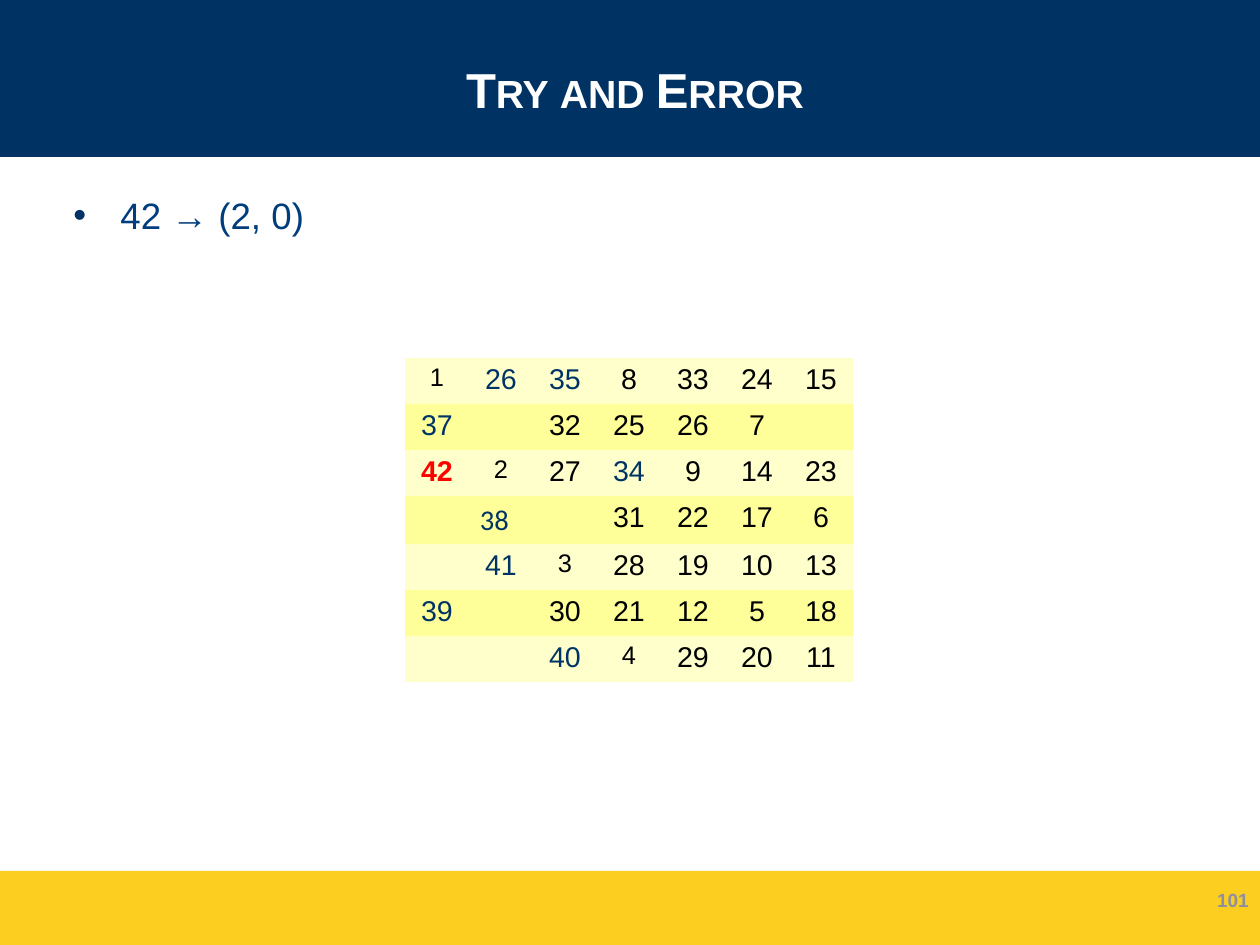
from lxml.etree import SubElement
from pptx import Presentation
from pptx.dml.color import RGBColor
from pptx.enum.shapes import MSO_SHAPE as Shape
from pptx.enum.text import MSO_ANCHOR as Anchor, MSO_AUTO_SIZE as AutoSize, PP_ALIGN as Align
from pptx.oxml import parse_xml
from pptx.oxml.ns import nsdecls, qn
from pptx.util import Emu, Pt

PX = 8000
WIDTH, HEIGHT = 1260, 945

NAVY = RGBColor(0x00, 0x32, 0x64)
GOLD = RGBColor(0xFB, 0xCE, 0x20)
WHITE = RGBColor(0xFF, 0xFF, 0xFF)
BLUE = RGBColor(0x00, 0x3D, 0x7C)
GREY = RGBColor(0x8C, 0x90, 0xA0)
BLACK = RGBColor(0x00, 0x00, 0x00)
RED = RGBColor(0xFF, 0x00, 0x00)
STEP_BLUE = RGBColor(0x00, 0x33, 0x66)
LIGHT_YELLOW = RGBColor(0xFF, 0xFF, 0xCC)
YELLOW = RGBColor(0xFF, 0xFF, 0x99)

BANDS = [
    (871, 74, GOLD),
    (0, 157, NAVY),
    (159, 55, WHITE),
]
BOARD = [
    [1, 26, 35, 8, 33, 24, 15],
    [37, None, 32, 25, 26, 7, None],
    [42, 2, 27, 34, 9, 14, 23],
    [None, 38, None, 31, 22, 17, 6],
    [None, 41, 3, 28, 19, 10, 13],
    [39, None, 30, 21, 12, 5, 18],
    [None, None, 40, 4, 29, 20, 11],
]
ROW_HEIGHTS = [44, 45, 44, 48, 46, 46, 46]
COLUMN_WIDTH = 64
CURRENT_STEP = 42


def px(length):
    return Emu(length * PX)


def step_format(step, row):
    """Font values of one step of the tour."""
    look = {"size": Pt(18), "name": "Arial", "bold": False}
    colour = BLACK
    if step == CURRENT_STEP:
        look["bold"] = True
        colour = RED
    elif step > 33 or (step == 26 and row == 0):
        colour = STEP_BLUE
    elif step < 5:
        look["size"] = Pt(16)
    if step == 38:
        look["name"] = "Calibri"
    return look, colour


class TourSlide:
    def __init__(self, deck):
        self.slide = deck.slides.add_slide(deck.slide_layouts[1])
        self.shapes = self.slide.shapes

    def place(self, shape, left, top, width, height):
        box = {"left": left, "top": top, "width": width, "height": height}
        for side, length in box.items():
            setattr(shape, side, px(length))

    def add_words(self, paragraph, text, look, colour):
        run = paragraph.add_run()
        run.text = text
        for key, value in look.items():
            setattr(run.font, key, value)
        run.font.color.rgb = colour
        return run

    def band(self, depth, top, height, colour):
        """Full-width stripe, placed behind the placeholders."""
        stripe = self.shapes.add_shape(Shape.RECTANGLE, 0, px(top), px(WIDTH), px(height))
        stripe.shadow.inherit = False
        stripe.fill.solid()
        stripe.fill.fore_color.rgb = colour
        stripe.line.fill.background()
        tree = stripe.element.getparent()
        tree.insert(2 + depth, stripe.element)

    def title(self, text):
        heading = self.shapes.title
        self.place(heading, 62, 21, 1146, 136)
        frame = heading.text_frame
        frame.auto_size = AutoSize.NONE
        frame.vertical_anchor = Anchor.MIDDLE
        paragraph = frame.paragraphs[0]
        paragraph.alignment = Align.CENTER
        look = {"size": Pt(30.9), "name": "Arial", "bold": True}
        run = self.add_words(paragraph, text, look, WHITE)
        run.font._element.set("cap", "small")

    def bullet(self, text):
        body = self.slide.placeholders[1]
        self.place(body, 62, 187, 1146, 689)
        body.text_frame.auto_size = AutoSize.NONE
        paragraph = body.text_frame.paragraphs[0]
        paragraph.space_before = Pt(0)
        props = paragraph._p.get_or_add_pPr()
        props.set("marL", str(px(47)))
        props.set("indent", str(px(-47)))
        colour = SubElement(props, qn("a:buClr"))
        SubElement(colour, qn("a:srgbClr"), val=str(NAVY))
        SubElement(props, qn("a:buFont"), typeface="Arial")
        SubElement(props, qn("a:buChar"), char="•")
        self.add_words(paragraph, text, {"size": Pt(23.1), "name": "Arial"}, BLUE)

    def page_number(self, text):
        frame = self.shapes.add_textbox(px(966), px(876), px(294), px(50)).text_frame
        frame.word_wrap = True
        frame.vertical_anchor = Anchor.MIDDLE
        paragraph = frame.paragraphs[0]
        paragraph.alignment = Align.RIGHT
        paragraph.line_spacing = 0.93
        self.add_words(paragraph, text, {"size": Pt(12), "name": "Arial", "bold": True}, GREY)

    def board(self, left, top):
        columns = len(BOARD[0])
        table = self.shapes.add_table(
            len(BOARD), columns, px(left), px(top),
            px(columns * COLUMN_WIDTH), px(sum(ROW_HEIGHTS))).table
        table.first_row = False
        table.horz_banding = False
        for column in table.columns:
            column.width = px(COLUMN_WIDTH)
        for row, steps in enumerate(BOARD):
            table.rows[row].height = px(ROW_HEIGHTS[row])
            for column, step in enumerate(steps):
                self.square(table.cell(row, column), step, row)

    def square(self, cell, step, row):
        cell.fill.solid()
        cell.fill.fore_color.rgb = YELLOW if row % 2 else LIGHT_YELLOW
        props = cell._tc.get_or_add_tcPr()
        for index, side in enumerate("LRTB"):
            props.insert(index, parse_xml(
                f'<a:ln{side} {nsdecls("a")} w="381"><a:solidFill>'
                f'<a:srgbClr val="{WHITE}"/></a:solidFill></a:ln{side}>'))
        if step is None:
            cell.margin_top = cell.margin_bottom = 0
            return
        margins = {"margin_left": 11, "margin_right": 11, "margin_top": 8, "margin_bottom": 6}
        for side, length in margins.items():
            setattr(cell, side, px(length))
        look, colour = step_format(step, row)
        paragraph = cell.text_frame.paragraphs[0]
        if look["name"] == "Arial":
            paragraph.alignment = Align.CENTER
            paragraph.line_spacing = 0.93
        self.add_words(paragraph, str(step), look, colour)


def main():
    deck = Presentation()
    deck.slide_width = px(WIDTH)
    deck.slide_height = px(HEIGHT)
    tour = TourSlide(deck)
    for depth, (top, height, colour) in enumerate(BANDS):
        tour.band(depth, top, height, colour)
    tour.title("Try and Error")
    tour.bullet("42 → (2, 0)")
    tour.page_number("101")
    tour.board(405, 358)
    deck.save("out.pptx")


if __name__ == "__main__":
    main()
